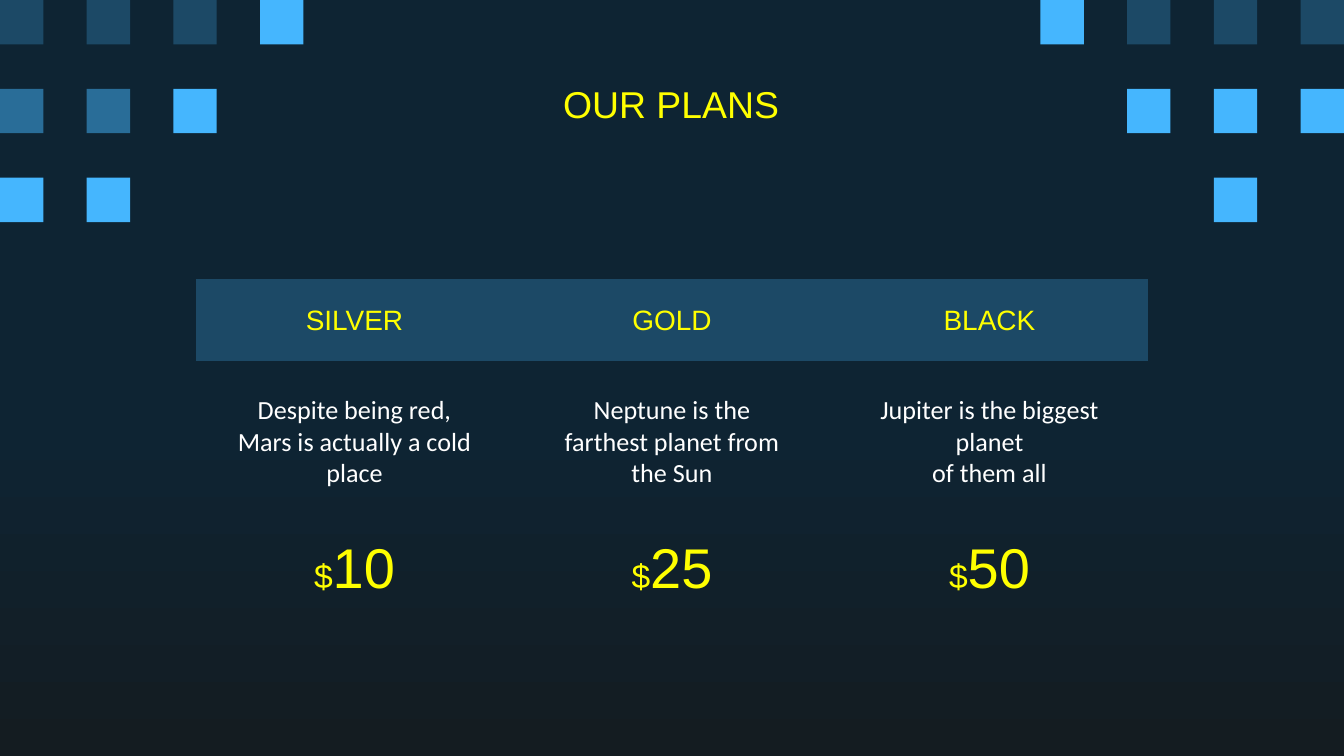
from pptx import Presentation
from pptx.dml.color import RGBColor
from pptx.enum.shapes import MSO_SHAPE
from pptx.enum.text import MSO_ANCHOR, PP_ALIGN
from pptx.oxml.ns import qn
from pptx.util import Cm, Pt

CENTER, MIDDLE = PP_ALIGN.CENTER, MSO_ANCHOR.MIDDLE
RECTANGLE = MSO_SHAPE.RECTANGLE

NIGHT = RGBColor(0x0E, 0x24, 0x33)
COAL = RGBColor(0x14, 0x1C, 0x21)
NAVY = RGBColor(0x1C, 0x49, 0x66)
STEEL = RGBColor(0x29, 0x6D, 0x98)
SKY = RGBColor(0x45, 0xB6, 0xFE)
YELLOW = RGBColor(0xFF, 0xFF, 0x00)
WHITE = RGBColor(0xFF, 0xFF, 0xFF)

TITLE = "OUR PLANS"
PLANS = [
    ("SILVER", ["Despite being red,", "Mars is actually a cold place"], "10"),
    ("GOLD", ["Neptune is the farthest planet from the Sun"], "25"),
    ("BLACK", ["Jupiter is the biggest planet", "of them all"], "50"),
]
# One letter per square of the 16-column corner pattern
SQUARES = [
    "NNNS........SNNN",
    "TTS..........SSS",
    "SS............S.",
]
SQUARE_COLORS = {"N": NAVY, "T": STEEL, "S": SKY}

SLIDE_W, SLIDE_H = 25.4, 14.29
SQUARE_W, SQUARE_H = 0.82, 0.84
PITCH_X = (SLIDE_W - SQUARE_W) / (len(SQUARES[0]) - 1)
PITCH_Y = 1.68
TABLE_X, TABLE_Y, COLUMN_W = 3.7, 5.28, 6
ROW_HEIGHTS = [1.55, 3.05, 1.75]
INSET = Cm(0.25)
INDENT = Cm(0.51)


def style(p, size, color, font="Arial"):
    p.alignment = CENTER
    p.font.size, p.font.name, p.font.color.rgb = Pt(size), font, color


def set_insets(box):
    box.margin_left = box.margin_right = INSET
    box.margin_top = box.margin_bottom = INSET
    box.vertical_anchor = MIDDLE


def fill_description(tf, lines):
    tf.text = "\n".join(lines)
    for p in tf.paragraphs:
        pPr = p._p.get_or_add_pPr()
        for side in ("marL", "marR"):
            pPr.set(side, str(INDENT))
        pPr.set("indent", "0")
        style(p, 14, WHITE, "Calibri")


def fill_price(p, amount):
    style(p, 18, YELLOW)
    p.add_run().text = "$"
    r = p.add_run()
    r.text, r.font.size = amount, Pt(30)


prs = Presentation()
prs.slide_width, prs.slide_height = Cm(SLIDE_W), Cm(SLIDE_H)
s = prs.slides.add_slide(prs.slide_layouts[6])

fill = s.background.fill
fill.gradient()
fill.gradient_angle = 270
for stop, position, color in zip(fill.gradient_stops, (0.56, 1), (NIGHT, COAL)):
    stop.position, stop.color.rgb = position, color

for row, letters in enumerate(SQUARES):
    for col, letter in enumerate(letters):
        if letter in SQUARE_COLORS:
            sp = s.shapes.add_shape(RECTANGLE, Cm(col * PITCH_X), Cm(row * PITCH_Y),
                                    Cm(SQUARE_W), Cm(SQUARE_H))
            sp.shadow.inherit = False
            sp.fill.solid()
            sp.fill.fore_color.rgb = SQUARE_COLORS[letter]
            sp.line.fill.background()

tf = s.shapes.add_textbox(Cm(1.98), Cm(1.5), Cm(21.41), Cm(0.91)).text_frame
tf.word_wrap = True
set_insets(tf)
tf.text = TITLE
style(tf.paragraphs[0], 20, YELLOW)

table = s.shapes.add_table(len(ROW_HEIGHTS), len(PLANS), Cm(TABLE_X), Cm(TABLE_Y),
                           Cm(COLUMN_W * len(PLANS)), Cm(sum(ROW_HEIGHTS))).table
# "No Style, No Grid" keeps the table free of borders
table._tbl.tblPr.find(qn("a:tableStyleId")).text = "{2D5ABB26-0587-4C30-8999-92F81FD0307C}"
table.first_row = table.horz_banding = False
for row, height in zip(table.rows, ROW_HEIGHTS):
    row.height = Cm(height)

for col, (name, lines, amount) in enumerate(PLANS):
    table.columns[col].width = Cm(COLUMN_W)
    header, description, price = cells = [table.cell(row, col) for row in range(3)]
    for cell in cells:
        set_insets(cell)
        cell.fill.background()
    header.fill.solid()
    header.fill.fore_color.rgb = NAVY
    header.text = name
    style(header.text_frame.paragraphs[0], 15, YELLOW)
    fill_description(description.text_frame, lines)
    fill_price(price.text_frame.paragraphs[0], amount)

prs.save("out.pptx")
